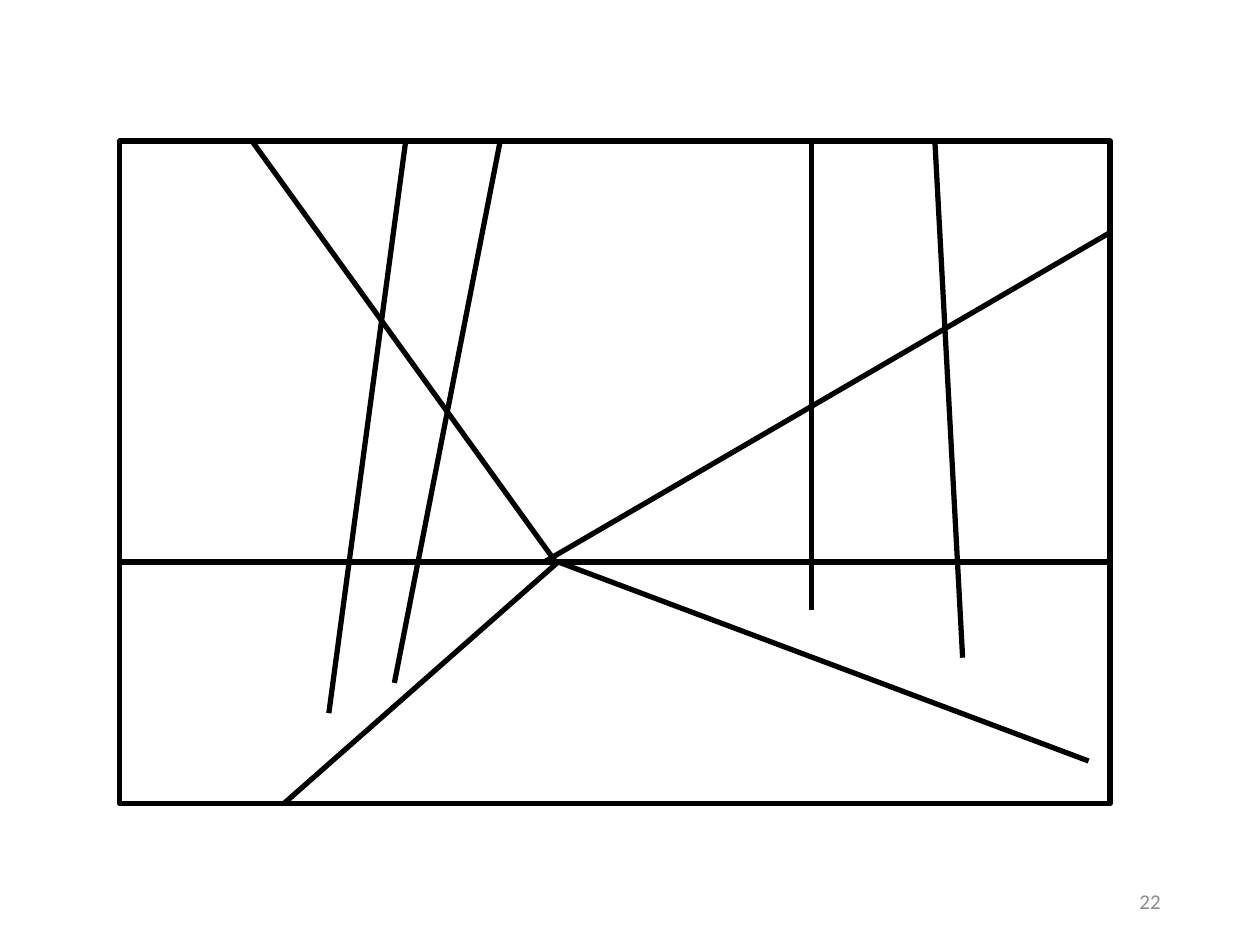
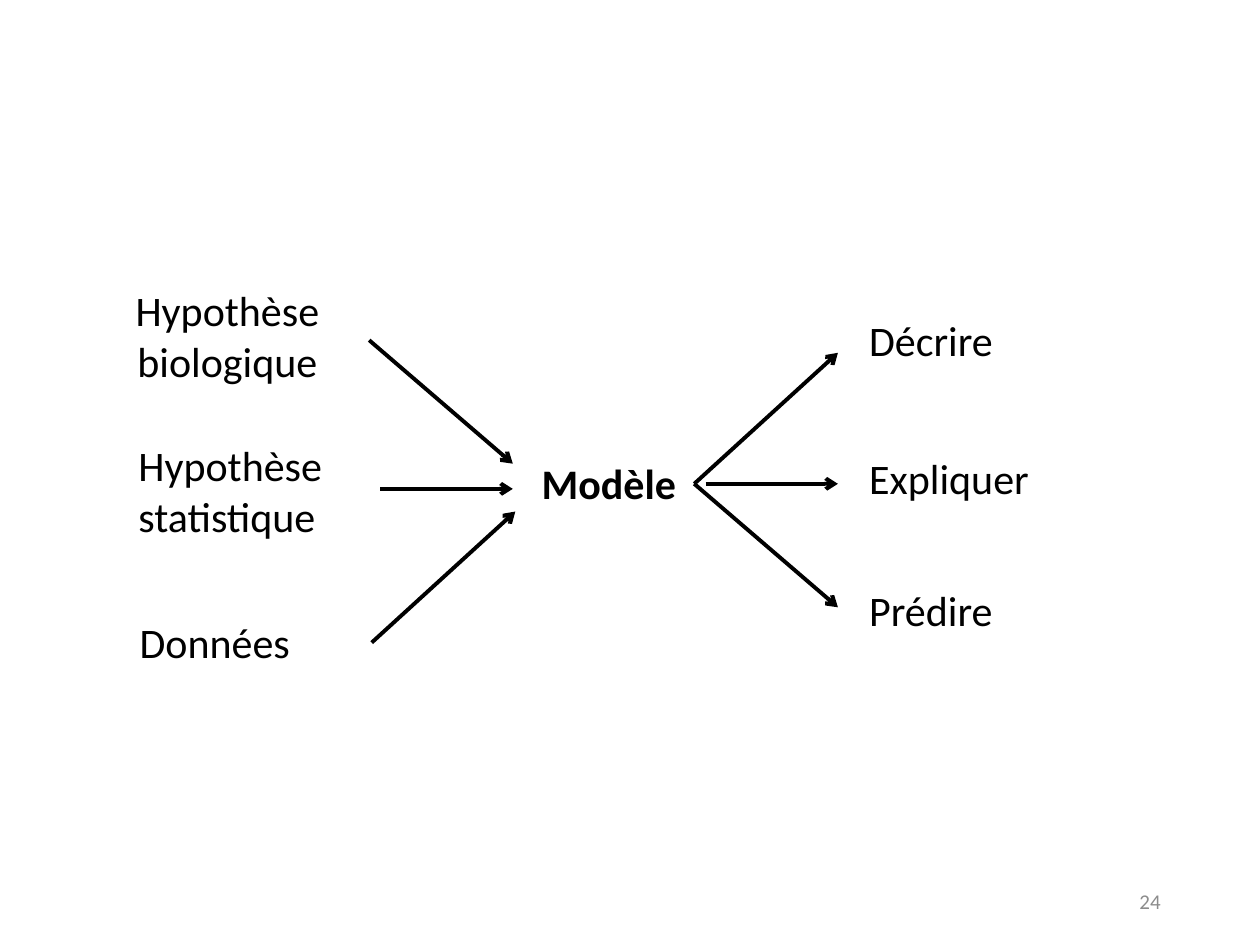
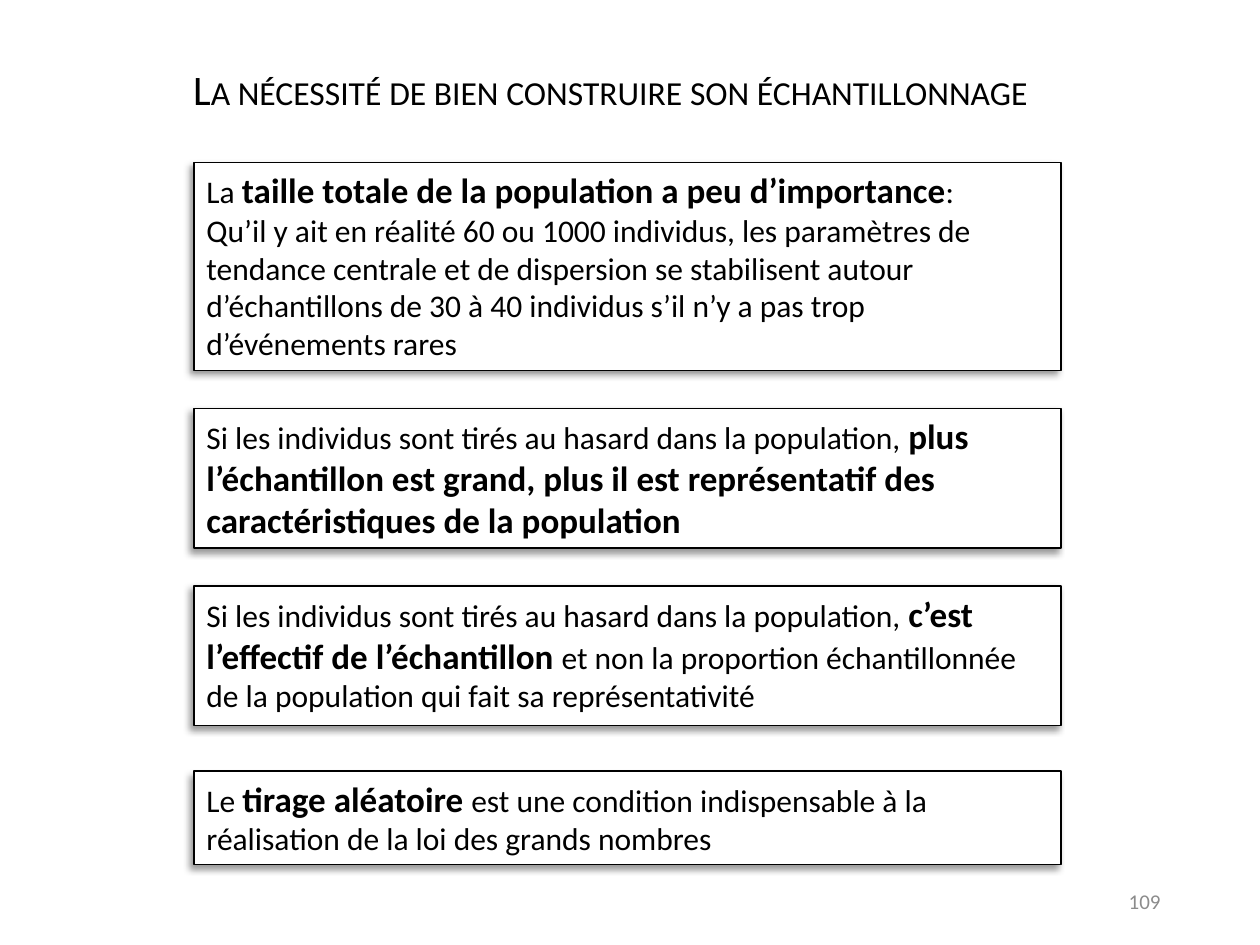
from lxml.etree import SubElement
from pptx import Presentation
from pptx.dml.color import RGBColor
from pptx.enum.shapes import MSO_CONNECTOR as CONN, MSO_SHAPE as SHAPE
from pptx.enum.text import MSO_ANCHOR as ANCHOR, PP_ALIGN as ALIGN
from pptx.oxml.ns import qn
from pptx.util import Inches, Pt

COLORS = {"ink": "000000", "paper": "FFFFFF", "number": "8C8C8C"}
FONT = "Calibri"
TITLE_ONLY, BLANK = 5, 6

VANISHING_LINES = [
    (7.87, 3.34, 0, 3.34),
    (7.69, 4.92, 3.48, 3.34),
    (3.48, 3.34, 1.3, 5.26),
    (7.87, 0.72, 3.37, 3.34),
    (1.05, 0, 3.46, 3.34),
    (2.27, 0, 1.66, 4.54),
    (3.02, 0, 2.18, 4.3),
    (6.47, 0, 6.69, 4.1),
    (5.49, 0, 5.49, 3.72),
]

MODEL_LABELS = [
    ("Hypothèse biologique", 0, 0, 1.95, 0.91, {"align": ALIGN.CENTER}),
    ("Hypothèse statistique", 0.17, 1.23, 1.78, 0.91, {}),
    ("Données", 0.18, 2.63, 2.19, 0.5, {}),
    ("Modèle", 3.37, 1.37, 1.49, 0.5, {"bold": True}),
    ("Décrire", 5.97, 0.24, 1.49, 0.5, {}),
    ("Expliquer", 5.97, 1.33, 1.78, 0.5, {}),
    ("Prédire", 5.97, 2.38, 2.19, 0.5, {}),
]
MODEL_ARROWS = [
    (2.1, 0.49, 3.24, 1.47),
    (2.19, 1.67, 3.24, 1.67),
    (2.12, 2.89, 3.26, 1.85),
    (4.68, 1.63, 5.82, 0.59),
    (4.77, 1.63, 5.82, 1.63),
    (4.68, 1.63, 5.82, 2.61),
]

DRAW = "Si les individus sont tirés au hasard dans la population, "
SAMPLING_NOTES = [
    (0, 1.65, [
        [("La ", False),
         ("taille totale de la population a peu d’importance", True),
         (":", False)],
        [("Qu’il y ait en réalité 60 ou 1000 individus, les paramètres de "
          "tendance centrale et de dispersion se stabilisent autour "
          "d’échantillons de 30 à 40 individus s’il n’y a pas trop "
          "d’événements rares", False)],
    ]),
    (1.95, 1.11, [
        [(DRAW, False),
         ("plus l’échantillon est grand, plus il est représentatif des "
          "caractéristiques de la population", True)],
    ]),
    (3.36, 1.11, [
        [(DRAW, False),
         ("c’est l’effectif de l’échantillon ", True),
         ("et non la proportion échantillonnée de la population qui fait sa "
          "représentativité", False)],
    ]),
    (4.83, 0.74, [
        [("Le ", False),
         ("tirage aléatoire ", True),
         ("est une condition indispensable à la réalisation de la loi des "
          "grands nombres", False)],
    ]),
]


def rgb(name):
    """Return a named colour."""
    return RGBColor.from_string(COLORS[name])


def add_run(p, text, size=24, bold=False, color="ink", small_caps=False):
    """Append a formatted run to a paragraph."""
    r = p.add_run()
    r.text = text
    r.font.name, r.font.size, r.font.bold = FONT, Pt(size), bold
    r.font.color.rgb = rgb(color)
    if small_caps:
        r.font._element.set("cap", "small")


def set_text(sp, text, align=ALIGN.JUSTIFY, anchor=ANCHOR.TOP, **fmt):
    """Fill a text shape with one formatted paragraph."""
    tf = sp.text_frame
    tf.word_wrap = True
    tf.vertical_anchor = anchor
    p = tf.paragraphs[0]
    p.alignment = align
    add_run(p, text, **fmt)


def add_label(s, text, x, y, w, h, **fmt):
    """Add a text box."""
    sp = s.shapes.add_textbox(Inches(x), Inches(y), Inches(w), Inches(h))
    set_text(sp, text, **fmt)


def add_line(s, x1, y1, x2, y2, width, arrow=False):
    """Add a straight line, with an arrowhead at its end if asked."""
    sp = s.shapes.add_connector(CONN.STRAIGHT, Inches(x1), Inches(y1),
                                Inches(x2), Inches(y2))
    sp.line.color.rgb = rgb("ink")
    sp.line.width = Pt(width)
    if arrow:
        SubElement(sp.line._get_or_add_ln(), qn("a:tailEnd"), type="arrow")
    SubElement(sp._element.spPr, qn("a:effectLst"))


def add_rect(s, x, y, w, h, width, fill=None):
    """Add an outlined rectangle without shadow."""
    sp = s.shapes.add_shape(SHAPE.RECTANGLE, Inches(x), Inches(y),
                            Inches(w), Inches(h))
    sp.shadow.inherit = False
    sp.line.color.rgb = rgb("ink")
    sp.line.width = Pt(width)
    if fill:
        sp.fill.solid()
        sp.fill.fore_color.rgb = rgb(fill)
    else:
        sp.fill.background()
    return sp


def add_shadow(sp):
    """Cast a soft shadow to the lower left."""
    effects = sp._element.spPr.find(qn("a:effectLst"))
    shadow = SubElement(effects, qn("a:outerShdw"), blurRad=str(Pt(4)),
                        dist=str(Pt(3)), dir="8100000", algn="tr",
                        rotWithShape="0")
    color = SubElement(shadow, qn("a:srgbClr"), val=COLORS["ink"])
    SubElement(color, qn("a:alpha"), val="40000")


def add_slide(prs, layout, number):
    """Add a slide with its page number."""
    s = prs.slides.add_slide(prs.slide_layouts[layout])
    add_label(s, number, 7.06, 6.95, 2.25, 0.4, size=12, color="number",
              align=ALIGN.RIGHT, anchor=ANCHOR.MIDDLE)
    return s


def add_title(s, text, x, y, w, h):
    """Place and format the title placeholder."""
    sp = s.shapes.title
    sp.left, sp.top, sp.width, sp.height = map(Inches, (x, y, w, h))
    set_text(sp, text, align=ALIGN.CENTER, small_caps=True)


def draw_perspective(s, x, y, w, h):
    """Draw the framed lines around a vanishing point."""
    for x1, y1, x2, y2 in VANISHING_LINES:
        add_line(s, x + x1, y + y1, x + x2, y + y2, 3)
    add_rect(s, x, y, w, h, 3)


def draw_model(s, x, y):
    """Draw the inputs and aims of the model."""
    for text, dx, dy, w, h, fmt in MODEL_LABELS:
        add_label(s, text, x + dx, y + dy, w, h, **fmt)
    for x1, y1, x2, y2 in MODEL_ARROWS:
        add_line(s, x + x1, y + y1, x + x2, y + y2, 2.25, arrow=True)


def draw_note(s, paragraphs, x, y, w, h):
    """Draw a shadowed note with its key words in bold."""
    sp = add_rect(s, x, y, w, h, 0.75, fill="paper")
    add_shadow(sp)
    tf = sp.text_frame
    tf.word_wrap = True
    tf.vertical_anchor = ANCHOR.TOP
    for i, runs in enumerate(paragraphs):
        p = tf.add_paragraph() if i else tf.paragraphs[0]
        p.alignment = ALIGN.LEFT
        for text, bold in runs:
            add_run(p, text, size=20 if bold else 18, bold=bold)


def draw_notes(s, x, y, w):
    """Stack the sampling notes."""
    for dy, h, paragraphs in SAMPLING_NOTES:
        draw_note(s, paragraphs, x, y + dy, w, h)


def main():
    """Build and save the slides."""
    prs = Presentation()
    prs.slide_width, prs.slide_height = Inches(10), Inches(7.5)

    draw_perspective(add_slide(prs, BLANK, "22"), 0.95, 1.12, 7.86, 5.26)
    draw_model(add_slide(prs, BLANK, "24"), 0.83, 2.21)

    s = add_slide(prs, TITLE_ONLY, "109")
    add_title(s, "La nécessité de bien construire son échantillonnage",
              0.63, 0.45, 8.43, 0.5)
    draw_notes(s, 1.54, 1.29, 6.88)

    prs.save("out.pptx")


if __name__ == "__main__":
    main()
